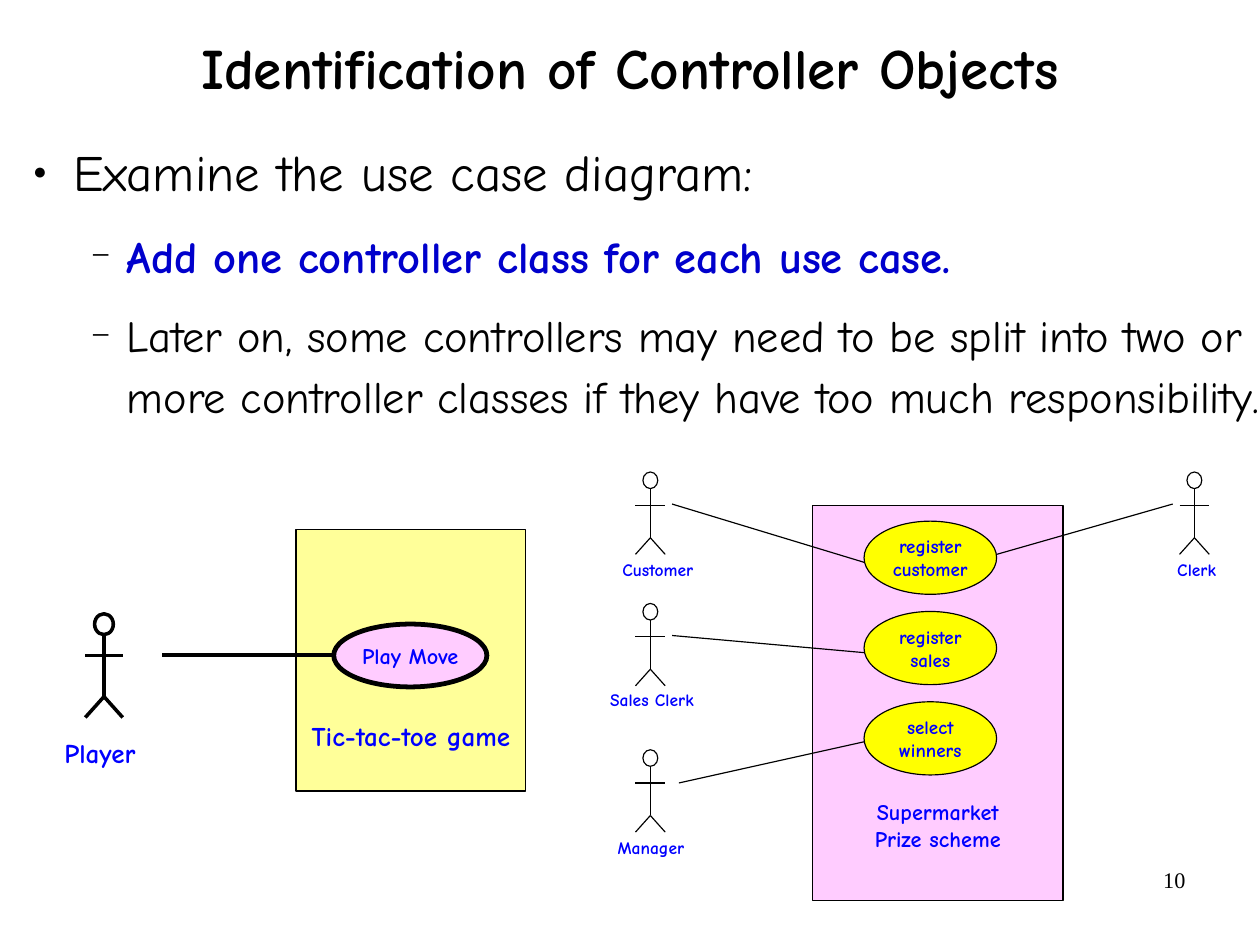
from dataclasses import dataclass

from lxml.etree import SubElement
from pptx import Presentation
from pptx.dml.color import RGBColor
from pptx.enum.shapes import MSO_CONNECTOR as Connector
from pptx.enum.shapes import MSO_SHAPE as Preset
from pptx.enum.text import MSO_ANCHOR as Anchor
from pptx.enum.text import MSO_AUTO_SIZE as AutoSize
from pptx.enum.text import PP_ALIGN as Align
from pptx.oxml.ns import qn
from pptx.shapes.base import BaseShape
from pptx.slide import Slide
from pptx.text.text import TextFrame
from pptx.util import Cm, Emu, Pt

PX = 9144
FONT, SERIF = "Comic Neue", "Times New Roman"
BLACK, BLUE, NAVY = "000000", "0000FF", "0000CC"
YELLOW, CREAM, PINK = "FFFF00", "FFFF99", "FFCCFF"


@dataclass(frozen=True)
class Box:
    left: int
    top: int
    width: int
    height: int


@dataclass(frozen=True)
class Text:
    value: str
    size: int
    color: str = BLUE
    bold: bool = True
    font: str = FONT
    align: Align = Align.CENTER


@dataclass(frozen=True)
class Bullet:
    text: Text
    char: str
    percent: int
    margin: int
    hanging: int
    level: int


@dataclass(frozen=True)
class Node:
    box: Box
    preset: Preset
    fill: str
    weight: float
    texts: tuple[Text, ...]
    anchor: Anchor = Anchor.MIDDLE
    bottom: int = 6


@dataclass(frozen=True)
class Actor:
    name: str
    center: int
    top: int
    label: Box
    scale: float = 1
    weight: float = 0.75
    size: int = 11


@dataclass(frozen=True)
class Link:
    points: tuple[int, int, int, int]
    weight: float = 0.75


def px(value: float) -> Emu:
    """Turn px into EMU."""
    return Emu(round(value * PX))


def rgb(color: str) -> RGBColor:
    """Turn a hex string into a colour."""
    return RGBColor.from_string(color)


def apply(target: object, values: dict[str, object]) -> None:
    """Set every attribute named in values."""
    for name, value in values.items():
        setattr(target, name, value)


def place(box: Box) -> tuple[Emu, ...]:
    """Give the box as left, top, width and height in EMU."""
    return tuple(px(side) for side in (box.left, box.top, box.width, box.height))


def set_frame(frame: TextFrame, anchor: Anchor, wrap: bool, side: int, top: int, bottom: int) -> None:
    """Set the anchor, wrapping and insets of a text frame."""
    apply(frame, {
        "auto_size": AutoSize.NONE, "word_wrap": wrap, "vertical_anchor": anchor,
        "margin_left": px(side), "margin_right": px(side),
        "margin_top": px(top), "margin_bottom": px(bottom),
    })


def write(frame: TextFrame, texts: tuple[Text, ...]) -> None:
    """Write one paragraph for each text."""
    for index, text in enumerate(texts):
        para = frame.add_paragraph() if index else frame.paragraphs[0]
        para.alignment = text.align
        span = para.add_run()
        span.text = text.value
        apply(span.font, {"name": text.font, "size": Pt(text.size), "bold": text.bold})
        span.font.color.rgb = rgb(text.color)


def draw_line(slide: Slide, x1: float, y1: float, x2: float, y2: float, weight: float) -> None:
    """Draw a straight black line without a shadow."""
    line = slide.shapes.add_connector(Connector.STRAIGHT, px(x1), px(y1), px(x2), px(y2))
    line.line.color.rgb = rgb(BLACK)
    line.line.width = Pt(weight)
    SubElement(line._element.spPr, qn("a:effectLst"))


def outline(shape: BaseShape, weight: float) -> None:
    """Give a shape a black outline and no shadow."""
    shape.shadow.inherit = False
    shape.line.color.rgb = rgb(BLACK)
    shape.line.width = Pt(weight)


def draw_node(slide: Slide, node: Node) -> None:
    """Draw a system boundary or a use case."""
    shape = slide.shapes.add_shape(node.preset, *place(node.box))
    outline(shape, node.weight)
    shape.fill.solid()
    shape.fill.fore_color.rgb = rgb(node.fill)
    set_frame(shape.text_frame, node.anchor, False, 11, 6, node.bottom)
    write(shape.text_frame, node.texts)


def draw_text(slide: Slide, box: Box, text: Text, side: int, top: int) -> None:
    """Draw a one-line text box."""
    frame = slide.shapes.add_textbox(*place(box)).text_frame
    set_frame(frame, Anchor.TOP, True, side, top, top)
    write(frame, (text,))


def draw_actor(slide: Slide, actor: Actor) -> None:
    """Draw a stick figure with its name below."""
    unit, x = actor.scale, actor.center
    neck, arms, hip, feet = (actor.top + unit * drop for drop in (14.5, 29, 57.5, 72))
    reach = 13 * unit
    head = slide.shapes.add_shape(
        Preset.OVAL, px(x - reach / 2), px(actor.top), px(reach), px(14.5 * unit))
    outline(head, actor.weight)
    head.fill.background()
    limbs = [(x, neck, x, hip), (x - reach, arms, x + reach, arms),
             (x - reach, feet, x, hip), (x, hip, x + reach, feet)]
    for limb in limbs:
        draw_line(slide, *limb, actor.weight)
    draw_text(slide, actor.label, Text(actor.name, actor.size), 0, 6)


def draw_title(slide: Slide, box: Box, text: Text) -> None:
    """Move and format the title placeholder."""
    title = slide.shapes.title
    apply(title, dict(zip(("left", "top", "width", "height"), place(box))))
    set_frame(title.text_frame, Anchor.MIDDLE, True, 0, 0, 0)
    write(title.text_frame, (text,))
    title.text_frame.paragraphs[0].line_spacing = 0.88


def draw_bullets(slide: Slide, box: Box, bullets: tuple[Bullet, ...]) -> None:
    """Draw the bulleted body text."""
    frame = slide.shapes.add_textbox(*place(box)).text_frame
    set_frame(frame, Anchor.TOP, True, 0, 0, 0)
    write(frame, tuple(bullet.text for bullet in bullets))
    for para, bullet in zip(frame.paragraphs, bullets):
        apply(para, {"level": bullet.level, "line_spacing": 1.14,
                     "space_before": Pt(6), "space_after": Pt(6)})
        props = para._p.get_or_add_pPr()
        props.set("marL", str(px(bullet.margin)))
        props.set("indent", str(px(-bullet.hanging)))
        SubElement(SubElement(props, qn("a:buClr")), qn("a:srgbClr"), val=BLACK)
        SubElement(props, qn("a:buSzPct"), val=str(bullet.percent * 1000))
        SubElement(props, qn("a:buFont"), typeface=SERIF)
        SubElement(props, qn("a:buChar"), char=bullet.char)


def main() -> None:
    """Build the slide and save it."""
    deck = Presentation()
    apply(deck, {"slide_width": Cm(28), "slide_height": Cm(21)})
    page = deck.slides.add_slide(deck.slide_layouts[5])
    draw_text(page, Box(790, 753, 257, 57), Text("10", 14, BLACK, False, SERIF, Align.RIGHT), 10, 5)
    draw_title(page, Box(0, -6, 1102, 137), Text("Identification of Controller Objects", 36, BLACK))
    later = ("Later on, some controllers may need to be split into two or more "
             "controller classes if they have too much responsibility.")
    draw_bullets(page, Box(18, 116, 1102, 642), (
        Bullet(Text("Examine the use case diagram:", 32, BLACK, False, align=Align.LEFT), "●", 45, 46, 35, 0),
        Bullet(Text("Add one controller class for each use case.", 28, NAVY, align=Align.LEFT), "−", 75, 93, 31, 1),
        Bullet(Text(later, 28, BLACK, False, align=Align.LEFT), "−", 75, 93, 31, 1),
    ))
    cases = [("register", "customer"), ("register", "sales"), ("select", "winners")]
    nodes = [
        Node(Box(259, 463, 201, 229), Preset.RECTANGLE, CREAM, 0.75,
             (Text("Tic-tac-toe game", 17),), Anchor.BOTTOM, 34),
        Node(Box(292, 546, 134, 55), Preset.OVAL, PINK, 3, (Text("Play Move", 14),)),
        Node(Box(711, 442, 219, 346), Preset.RECTANGLE, PINK, 0.75,
             (Text("Supermarket", 14), Text("Prize scheme", 14)), Anchor.BOTTOM, 43),
    ] + [Node(Box(756, 456 + 79 * row, 116, 64), Preset.OVAL, YELLOW, 0.75,
              tuple(Text(word, 12) for word in case)) for row, case in enumerate(cases)]
    for node in nodes:
        draw_node(page, node)
    actors = [
        Actor("Player", 91, 537, Box(45, 638, 85, 39), 1.26, 2.25, 17),
        Actor("Customer", 569, 413, Box(533, 483, 85, 29)),
        Actor("Sales Clerk", 569, 528, Box(523, 597, 95, 29)),
        Actor("Manager", 569, 656, Box(529, 726, 81, 29)),
        Actor("Clerk", 1045, 413, Box(1019, 483, 56, 29)),
    ]
    for actor in actors:
        draw_actor(page, actor)
    links = [Link((142, 573, 292, 573), 3), Link((756, 492, 588, 441)), Link((756, 571, 588, 556)),
             Link((756, 649, 594, 685)), Link((872, 485, 1026, 441))]
    for link in links:
        draw_line(page, *link.points, link.weight)
    deck.save("out.pptx")


if __name__ == "__main__":
    main()
